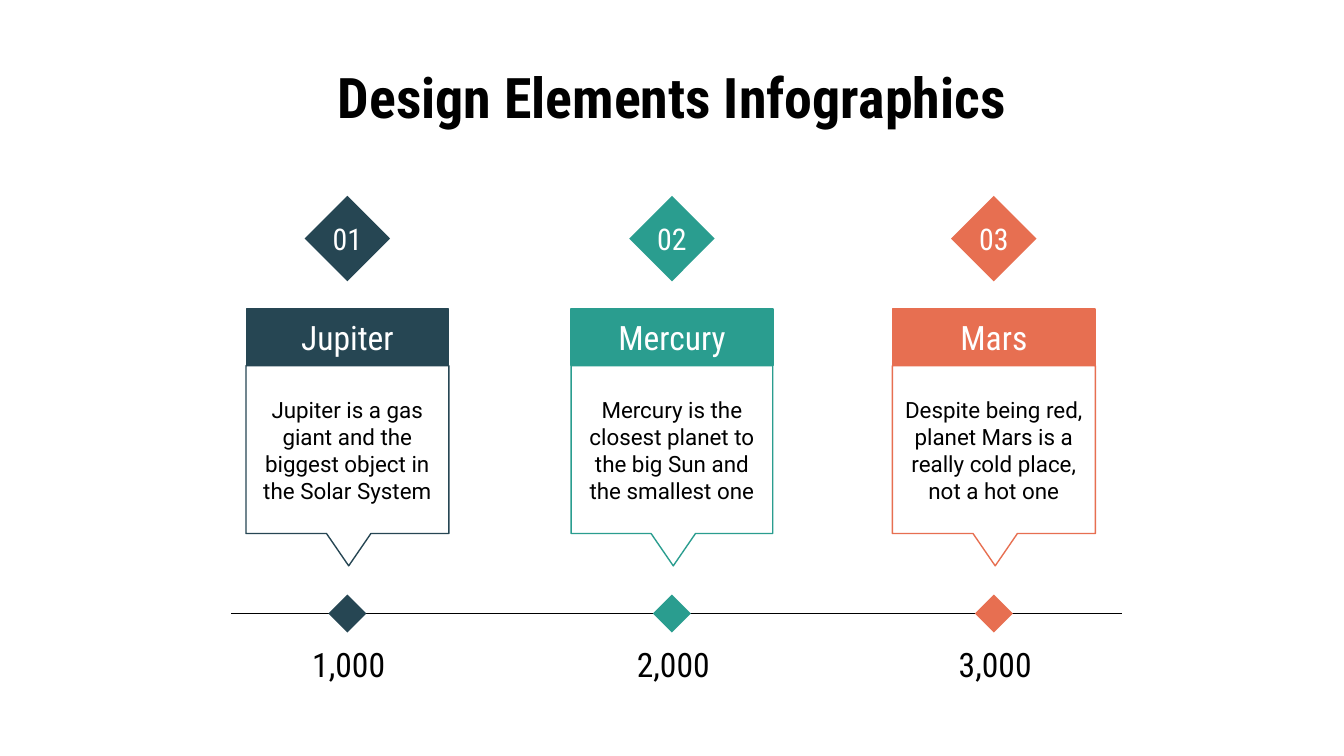
from pptx import Presentation
from pptx import util as u
from pptx.dml.color import RGBColor
from pptx.enum import shapes, text
from pptx.oxml.ns import qn
from lxml import etree
from dataclasses import dataclass

TITLE = "Design Elements Infographics"
PLANETS = [
    dict(number="01", name="Jupiter", color="264653", center=517, mark="1,000",
         about="Jupiter is a gas giant and the biggest object in the Solar System"),
    dict(number="02", name="Mercury", color="2A9D8F", center=1000, mark="2,000",
         about="Mercury is the closest planet to the big Sun and the smallest one"),
    dict(number="03", name="Mars", color="E76F51", center=1479, mark="3,000",
         about="Despite being red, planet Mars is a really cold place, not a hot one"),
]


@dataclass(frozen=True)
class Theme:
    black: str = "000000"
    white: str = "FFFFFF"
    heading: str = "Roboto Condensed"
    body: str = "Roboto"
    title_size: int = 30
    label_size: int = 18
    number_size: int = 16
    body_size: int = 12
    line: float = 0.75


THEME = Theme()
SCALE = 4572
SLIDE = (2000, 1125)
TITLE_BOX = (100, 90, 1800, 106)
NUMBER_Y, HEADER_Y, ABOUT_Y, AXIS_Y, MARK_Y = 355, 502, 670, 913, 989
CARD_WIDTH, HEADER_HEIGHT = 301, 84
CARD_TOP, CARD_BOTTOM, TIP_Y = 544, 794, 842
TIP_SHIFT, TIP_HALF = 2, 33
AXIS_START, AXIS_END = 344, 1670


def px(value):
    return u.Emu(round(value * SCALE))


def around(x, y, width, height):
    return [px(v) for v in (x - width / 2, y - height / 2, width, height)]


def paint(shape, fill, line=None):
    shape.shadow.inherit = False
    shape.fill.solid()
    shape.fill.fore_color.rgb = RGBColor.from_string(fill)
    if line:
        shape.line.color.rgb = RGBColor.from_string(line)
        shape.line.width = u.Pt(THEME.line)
    else:
        shape.line.fill.background()


def write(shape, words, size, color, font=THEME.heading, bold=False):
    frame = shape.text_frame
    frame.text = words
    frame.word_wrap = True
    frame.auto_size = text.MSO_AUTO_SIZE.NONE
    frame.vertical_anchor = text.MSO_ANCHOR.MIDDLE
    frame.margin_left = frame.margin_right = px(20)
    frame.margin_top = frame.margin_bottom = px(20)
    para = frame.paragraphs[0]
    para.alignment = text.PP_ALIGN.CENTER
    span = para.runs[0].font
    span.name, span.size, span.bold = font, u.Pt(size), bold
    span.color.rgb = RGBColor.from_string(color)


def add_text(page, frame, *style):
    write(page.shapes.add_textbox(*around(*frame)), *style)


def add_rectangle(page, frame, fill, line=None):
    box = page.shapes.add_shape(shapes.MSO_SHAPE.RECTANGLE, *around(*frame))
    paint(box, fill, line)
    return box


def add_diamond(page, x, y, side, fill):
    add_rectangle(page, (x, y, side, side), fill).rotation = 315


def add_axis(page):
    axis = page.shapes.add_connector(
        shapes.MSO_CONNECTOR.STRAIGHT,
        px(AXIS_START), px(AXIS_Y), px(AXIS_END), px(AXIS_Y))
    axis.line.color.rgb = RGBColor.from_string(THEME.black)
    axis.line.width = u.Pt(THEME.line)
    etree.SubElement(axis._element.spPr, qn("a:effectLst"))


def add_callout(page, center, color):
    left, right = center - CARD_WIDTH / 2, center + CARD_WIDTH / 2
    tip = center + TIP_SHIFT
    outline = page.shapes.build_freeform(left, CARD_TOP, scale=SCALE)
    outline.add_line_segments([
        (left, CARD_BOTTOM), (tip - TIP_HALF, CARD_BOTTOM), (tip, TIP_Y),
        (tip + TIP_HALF, CARD_BOTTOM), (right, CARD_BOTTOM), (right, CARD_TOP)])
    paint(outline.convert_to_shape(), THEME.white, color)


def add_planet(page, planet):
    center, color = planet["center"], planet["color"]
    add_diamond(page, center, NUMBER_Y, 90, color)
    add_text(page, (center, NUMBER_Y, 134, 94),
             planet["number"], THEME.number_size, THEME.white)
    header = add_rectangle(page, (center, HEADER_Y, CARD_WIDTH, HEADER_HEIGHT), color, color)
    write(header, planet["name"], THEME.label_size, THEME.white)
    add_callout(page, center, color)
    add_text(page, (center, ABOUT_Y, 306, 196),
             planet["about"], THEME.body_size, THEME.black, THEME.body)
    add_diamond(page, center, AXIS_Y, 40, color)
    add_text(page, (center + TIP_SHIFT, MARK_Y, 326, 94),
             planet["mark"], THEME.label_size, THEME.black)


def main():
    deck = Presentation()
    deck.slide_width, deck.slide_height = map(px, SLIDE)
    page = deck.slides.add_slide(deck.slide_layouts[5])
    title = page.shapes.title
    title.left, title.top, title.width, title.height = map(px, TITLE_BOX)
    write(title, TITLE, THEME.title_size, THEME.black, THEME.heading, True)
    add_axis(page)
    for planet in PLANETS:
        add_planet(page, planet)
    deck.save("out.pptx")


if __name__ == "__main__":
    main()
